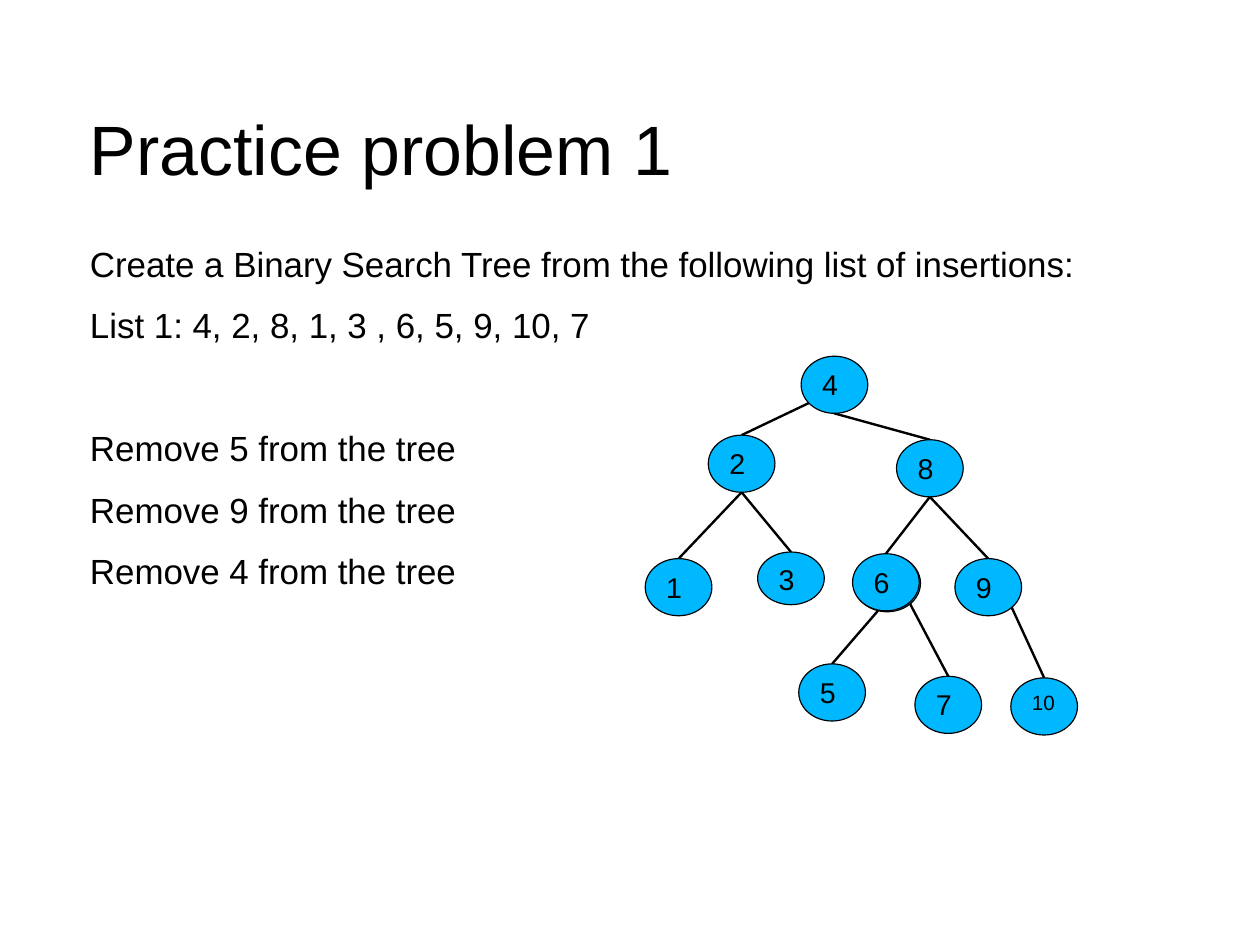
"""Build the binary search tree practice slide."""
from lxml import etree
from pptx import Presentation
from pptx.dml.color import RGBColor
from pptx.enum.shapes import MSO_CONNECTOR, MSO_SHAPE
from pptx.enum.text import MSO_ANCHOR, PP_ALIGN
from pptx.oxml.ns import qn
from pptx.util import Pt

OVAL = MSO_SHAPE.OVAL
STRAIGHT = MSO_CONNECTOR.STRAIGHT
TOP, MIDDLE = MSO_ANCHOR.TOP, MSO_ANCHOR.MIDDLE
LEFT = PP_ALIGN.LEFT
BLACK = RGBColor(0x00, 0x00, 0x00)
BLUE = RGBColor(0x00, 0xB8, 0xFF)

NODE_W, NODE_H = 42, 36
BODY_GAP = 14.2
SKIPPED_LINE = 38.7

NODES = {
    "4": (504.7, 224.4), "2": (446.2, 274.1), "8": (564.8, 277),
    "1": (406.5, 351.9), "3": (477.3, 347.7), "6": (537.1, 348.8),
    "9": (601.6, 351.9), "5": (503.2, 418.2), "7": (576.4, 426),
    "10": (636.8, 427),
}
HEIGHTS = {"3": 33.2}
SIZES = {"10": 13}

BOTTOM, BOTTOM_LEFT, BOTTOM_RIGHT = (0.5, 1), (0.15, 0.8), (0.85, 0.85)
EDGES = [
    ("4", "2", BOTTOM_LEFT), ("4", "8", BOTTOM),
    ("2", "1", BOTTOM), ("2", "3", BOTTOM),
    ("8", "6", BOTTOM), ("8", "9", BOTTOM),
    ("6", "5", (0.38, 1)), ("6", "7", BOTTOM_RIGHT),
    ("9", "10", BOTTOM_RIGHT),
]

BODY = [
    ("Create a Binary Search Tree from the following list of insertions:", 0),
    ("List 1: 4, 2, 8, 1, 3 , 6, 5, 9, 10, 7", 0),
    ("Remove 5 from the tree", SKIPPED_LINE),
    ("Remove 9 from the tree", 0),
    ("Remove 4 from the tree", 0),
]


class TreeSlide:
    """Draws text, nodes and edges on one slide in a shared style."""

    def __init__(self, slide, font="Arial", line_spacing=0.93):
        self.shapes = slide.shapes
        self.font = font
        self.line_spacing = line_spacing

    def style(self, p, size):
        """Apply the common text style to a paragraph."""
        p.alignment = LEFT
        p.line_spacing = self.line_spacing
        for r in p.runs:
            r.font.name = self.font
            r.font.size = Pt(size)
            r.font.color.rgb = BLACK

    def text(self, x, y, w, h, lines, size, inset, anchor=TOP, after=0):
        """Add a text box from pairs of text and space before."""
        tf = self.shapes.add_textbox(Pt(x), Pt(y), Pt(w), Pt(h)).text_frame
        tf.word_wrap = True
        tf.vertical_anchor = anchor
        tf.margin_left = tf.margin_right = tf.margin_bottom = 0
        tf.margin_top = Pt(inset)
        tf.text = "\n".join(line for line, _ in lines)
        for p, (_, before) in zip(tf.paragraphs, lines):
            self.style(p, size)
            p.space_after = Pt(after)
            if before:
                p.space_before = Pt(before)

    def node(self, x, y, h=NODE_H, label="", size=18):
        """Add a tree node."""
        sp = self.shapes.add_shape(OVAL, Pt(x), Pt(y), Pt(NODE_W), Pt(h))
        sp.shadow.inherit = False
        sp.fill.solid()
        sp.fill.fore_color.rgb = BLUE
        sp.line.color.rgb = BLACK
        sp.line.width = Pt(0.75)
        if label:
            tf = sp.text_frame
            tf.word_wrap = True
            tf.vertical_anchor = TOP
            tf.text = label
            self.style(tf.paragraphs[0], size)

    def edge(self, parent, child, start):
        """Add a line from a point on the parent to the top of the child."""
        (px, py), (cx, cy) = NODES[parent], NODES[child]
        line = self.shapes.add_connector(
            STRAIGHT, Pt(px + start[0] * NODE_W), Pt(py + start[1] * NODE_H),
            Pt(cx + NODE_W / 2), Pt(cy))
        line.line.color.rgb = BLACK
        line.line.width = Pt(1.5)
        etree.SubElement(line._element.spPr, qn("a:effectLst"))


def main():
    """Build and save the slide."""
    prs = Presentation()
    prs.slide_width, prs.slide_height = Pt(793.75), Pt(595.25)
    s = TreeSlide(prs.slides.add_slide(prs.slide_layouts[6]))

    s.text(56.7, 45, 666, 98.6, [("Practice problem 1", 0)], 44, 2.9, MIDDLE)
    s.text(56.7, 153.6, 697, 378.7, BODY, 22, 1.4, after=BODY_GAP)

    for parent, child, start in EDGES:
        s.edge(parent, child, start)
    x, y = NODES["6"]
    s.node(x + 0.8, y + 0.6)
    for label, (x, y) in NODES.items():
        s.node(x, y, HEIGHTS.get(label, NODE_H), label, SIZES.get(label, 18))

    prs.save("out.pptx")


if __name__ == "__main__":
    main()
